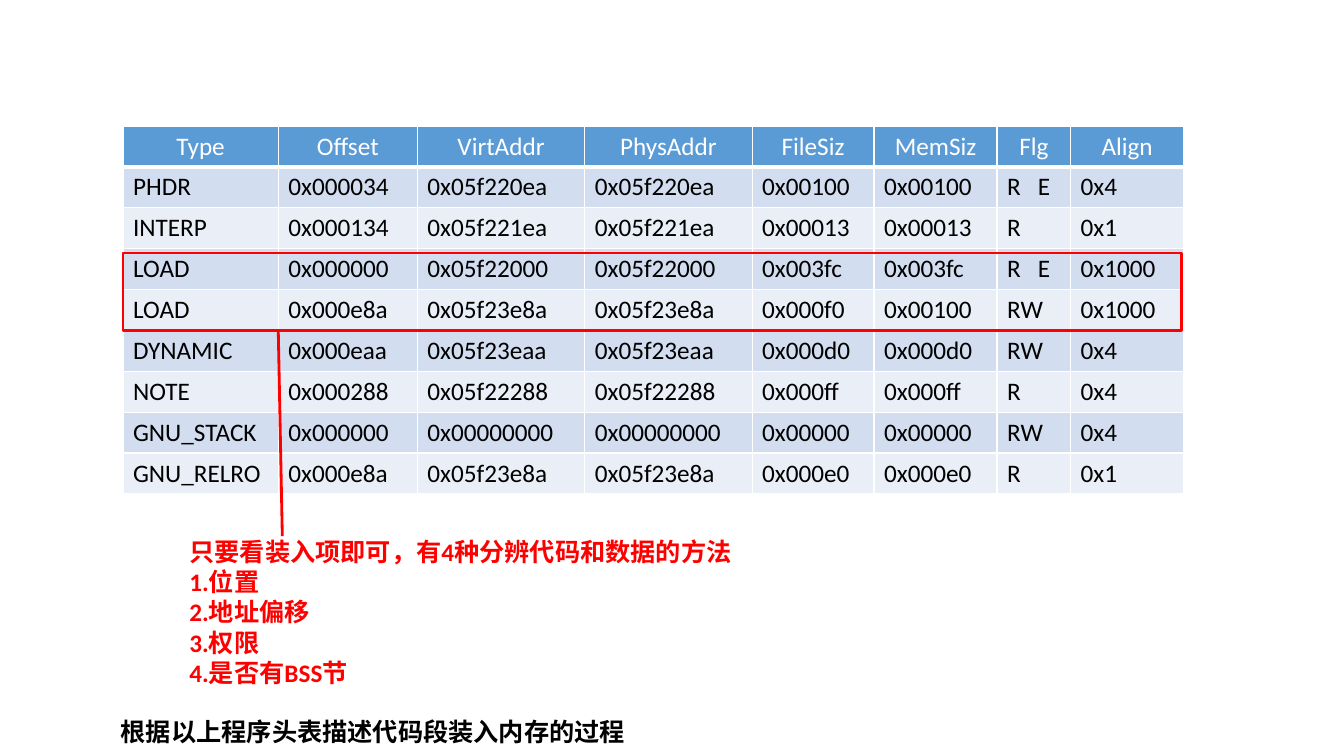
from pptx import Presentation
from pptx.dml.color import RGBColor as RGB
from pptx.enum.shapes import MSO_CONNECTOR as CONN, MSO_SHAPE as SHAPE
from pptx.enum.text import MSO_AUTO_SIZE as AUTO, PP_ALIGN as ALIGN
from pptx.oxml.ns import qn
from pptx.util import Inches, Pt
from lxml.etree import SubElement

# Content
HEADER = ["Type", "Offset", "VirtAddr", "PhysAddr", "FileSiz", "MemSiz", "Flg", "Align"]
SEGMENTS = [
    ("PHDR", "0x000034", "0x05f220ea", "0x05f220ea", "0x00100", "0x00100", "R   E", "0x4"),
    ("INTERP", "0x000134", "0x05f221ea", "0x05f221ea", "0x00013", "0x00013", "R", "0x1"),
    ("LOAD", "0x000000", "0x05f22000", "0x05f22000", "0x003fc", "0x003fc", "R   E", "0x1000"),
    ("LOAD", "0x000e8a", "0x05f23e8a", "0x05f23e8a", "0x000f0", "0x00100", "RW", "0x1000"),
    ("DYNAMIC", "0x000eaa", "0x05f23eaa", "0x05f23eaa", "0x000d0", "0x000d0", "RW", "0x4"),
    ("NOTE", "0x000288", "0x05f22288", "0x05f22288", "0x000ff", "0x000ff", "R", "0x4"),
    ("GNU_STACK", "0x000000", "0x00000000", "0x00000000", "0x00000", "0x00000", "RW", "0x4"),
    ("GNU_RELRO", "0x000e8a", "0x05f23e8a", "0x05f23e8a", "0x000e0", "0x000e0", "R", "0x1"),
]
HINTS = ["只要看装入项即可，有4种分辨代码和数据的方法",
         "1.位置", "2.地址偏移", "3.权限", "4.是否有BSS节"]
TASK = ["根据以上程序头表描述代码段装入内存的过程"]

THEME = {"font": "Calibri", "size": 18, "text": "000000", "white": "FFFFFF",
         "header": "5B9BD5", "bands": ("D2DEEF", "EAEFF7"), "mark": "FF0000",
         "mark_width": 2, "grid_width": 1, "header_rule": 3}

# Layout in inches
COL_WIDTHS = [1.54, 1.38, 1.66, 1.66, 1.21, 1.22, 0.73, 1.12]
TABLE_LEFT, TABLE_TOP, TABLE_WIDTH, TABLE_HEIGHT = 1.22, 1.25, 10.5, 3.65
MARK_TOP, MARK_HEIGHT = 2.51, 0.77


def color(hex_code):
    return RGB.from_string(hex_code)


def add_run(p, text, hex_code, bold):
    r = p.add_run()
    r.text = text
    r.font.name = THEME["font"]
    r.font.size = Pt(THEME["size"])
    r.font.bold = bold
    r.font.color.rgb = color(hex_code)


def set_borders(cell, bottom):
    tc_pr = cell._tc.get_or_add_tcPr()
    grid = THEME["grid_width"]
    for side, width in (("L", grid), ("R", grid), ("T", grid), ("B", bottom)):
        ln = SubElement(tc_pr, qn(f"a:ln{side}"), w=str(Pt(width)))
        SubElement(SubElement(ln, qn("a:solidFill")), qn("a:srgbClr"), val=THEME["white"])


def fill_cell(cell, text, is_header, fill):
    set_borders(cell, THEME["header_rule"] if is_header else THEME["grid_width"])
    cell.fill.solid()
    cell.fill.fore_color.rgb = color(fill)
    p = cell.text_frame.paragraphs[0]
    p.alignment = ALIGN.CENTER if is_header else ALIGN.LEFT
    add_run(p, text, THEME["white"] if is_header else THEME["text"], False)


def add_text(s, lines, box, hex_code):
    tf = s.shapes.add_textbox(*map(Inches, box)).text_frame
    tf.word_wrap = True
    tf.auto_size = AUTO.SHAPE_TO_FIT_TEXT
    for i, line in enumerate(lines):
        p = tf.add_paragraph() if i else tf.paragraphs[0]
        add_run(p, line, hex_code, True)


def style_mark(line):
    line.color.rgb = color(THEME["mark"])
    line.width = Pt(THEME["mark_width"])


def main():
    prs = Presentation()
    prs.slide_width, prs.slide_height = Inches(13.33), Inches(7.5)
    s = prs.slides.add_slide(prs.slide_layouts[6])

    # Program header table
    rows = [HEADER, *SEGMENTS]
    table = s.shapes.add_table(
        len(rows), len(HEADER), Inches(TABLE_LEFT), Inches(TABLE_TOP),
        Inches(TABLE_WIDTH), Inches(TABLE_HEIGHT)).table
    for col, width in zip(table.columns, COL_WIDTHS):
        col.width = Inches(width)
    for i, row in enumerate(rows):
        fill = THEME["bands"][(i - 1) % 2] if i else THEME["header"]
        for j, text in enumerate(row):
            fill_cell(table.cell(i, j), text, i == 0, fill)

    # Task below the table
    add_text(s, TASK, (1.1, 7.06, 10.06, 0.4), THEME["text"])

    # Frame around the LOAD rows
    sp = s.shapes.add_shape(SHAPE.RECTANGLE, Inches(TABLE_LEFT), Inches(MARK_TOP),
                            Inches(TABLE_WIDTH), Inches(MARK_HEIGHT))
    sp.shadow.inherit = False
    sp.fill.background()
    style_mark(sp.line)

    # Hints and the line leading to them
    add_text(s, HINTS, (1.78, 5.27, 5.72, 1.62), THEME["mark"])
    leader = s.shapes.add_connector(
        CONN.STRAIGHT, Inches(TABLE_LEFT + COL_WIDTHS[0]), Inches(MARK_TOP + MARK_HEIGHT),
        Inches(2.8), Inches(5.32))
    style_mark(leader.line)
    SubElement(leader._element.spPr, qn("a:effectLst"))

    prs.save("out.pptx")


if __name__ == "__main__":
    main()
